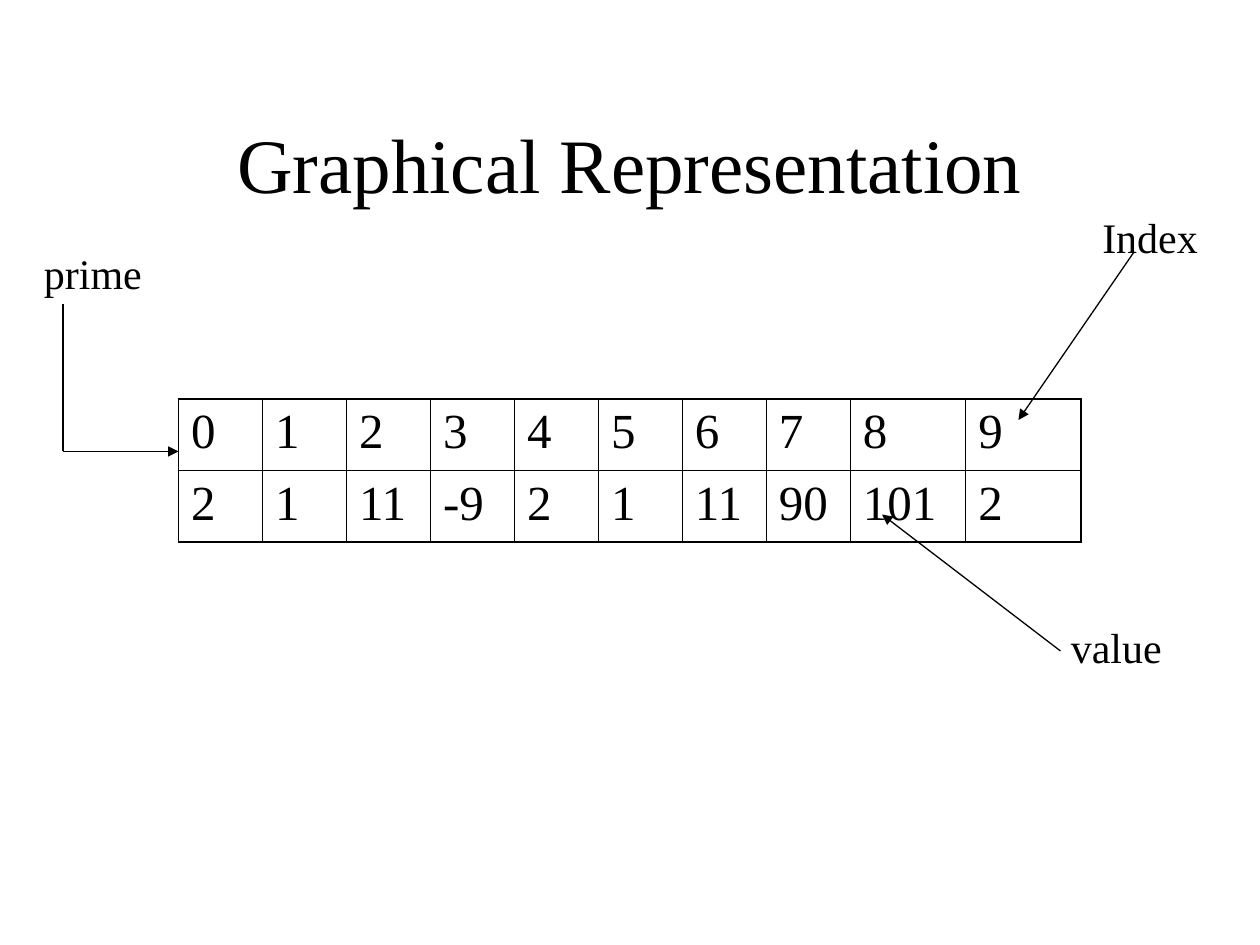
from lxml.etree import SubElement
from pptx import Presentation
from pptx.dml.color import RGBColor
from pptx.enum.shapes import MSO_CONNECTOR
from pptx.enum.text import MSO_ANCHOR, MSO_AUTO_SIZE, PP_ALIGN
from pptx.oxml.ns import qn
from pptx.util import Pt


def paint(color, code):
    color.rgb = RGBColor.from_string(code)


class Deck:
    font = "Times New Roman"
    ink = "000000"
    thin, thick, stroke = 0.45, 1.08, 0.74

    def __init__(self, wide, high):
        self.show = Presentation()
        self.show.slide_width, self.show.slide_height = Pt(wide), Pt(high)
        self.slide = self.show.slides.add_slide(self.show.slide_layouts[5])

    def words(self, frame, text, size, align=PP_ALIGN.LEFT, before=0):
        para = frame.paragraphs[0]
        para.alignment = align
        para.space_before = Pt(before)
        run = para.add_run()
        run.text = text
        run.font.name, run.font.size = self.font, Pt(size)
        paint(run.font.color, self.ink)

    def title(self, text, left, top, wide, high):
        shape = self.slide.shapes.title
        shape.left, shape.top = Pt(left), Pt(top)
        shape.width, shape.height = Pt(wide), Pt(high)
        frame = shape.text_frame
        frame.auto_size = MSO_AUTO_SIZE.NONE
        frame.vertical_anchor = MSO_ANCHOR.MIDDLE
        self.words(frame, text, 44, PP_ALIGN.CENTER)

    def label(self, text, left, top, wide):
        box = self.slide.shapes.add_textbox(Pt(left), Pt(top), Pt(wide), Pt(36))
        frame = box.text_frame
        frame.word_wrap = False
        frame.auto_size = MSO_AUTO_SIZE.SHAPE_TO_FIT_TEXT
        self.words(frame, text, 24)

    def line(self, start, end, arrow=True):
        line = self.slide.shapes.add_connector(
            MSO_CONNECTOR.STRAIGHT, *map(Pt, start + end))
        paint(line.line.color, self.ink)
        line.line.width = Pt(self.stroke)
        props = line._element.spPr
        if arrow:
            SubElement(props.find(qn("a:ln")), qn("a:tailEnd"), type="triangle")
        SubElement(props, qn("a:effectLst"))

    def border(self, cell, outer):
        props = cell._tc.get_or_add_tcPr()
        for side, edge in outer.items():
            width = Pt(self.thick if edge else self.thin)
            line = SubElement(props, qn("a:ln" + side), w=str(width))
            fill = SubElement(line, qn("a:solidFill"))
            SubElement(fill, qn("a:srgbClr"), val=self.ink)

    def table(self, rows, left, top, widths, high):
        last, end = len(rows) - 1, len(widths) - 1
        grid = self.slide.shapes.add_table(
            len(rows), len(widths), Pt(left), Pt(top),
            Pt(sum(widths)), Pt(high * len(rows))).table
        grid.first_row = grid.horz_banding = False
        for col, wide in zip(grid.columns, widths):
            col.width = Pt(wide)
        for r, row in enumerate(rows):
            grid.rows[r].height = Pt(high)
            for c, value in enumerate(row):
                cell = grid.cell(r, c)
                self.words(cell.text_frame, str(value), 28, before=7)
                self.border(cell, {"L": c == 0, "R": c == end,
                                   "T": r == 0, "B": r == last})
                cell.fill.background()


deck = Deck(720, 540)
deck.title("Graphical Representation", 54, 48, 612, 90)

# Array: indices above values
values = [2, 1, 11, -9, 2, 1, 11, 90, 101, 2]
deck.table([range(len(values)), values], 102, 228, [48] * 8 + [66] * 2, 40.8)

# Labels
deck.label("prime", 18, 138, 70.5)
deck.label("Index", 622.8, 117.4, 69)
deck.label("value", 604.8, 351.4, 66.2)

# Pointers from the labels to the array
deck.line((36, 174), (36, 258), arrow=False)
deck.line((36, 258), (102, 258))
deck.line((648, 144), (582, 240))
deck.line((606, 372), (504, 294))

deck.show.save("out.pptx")
